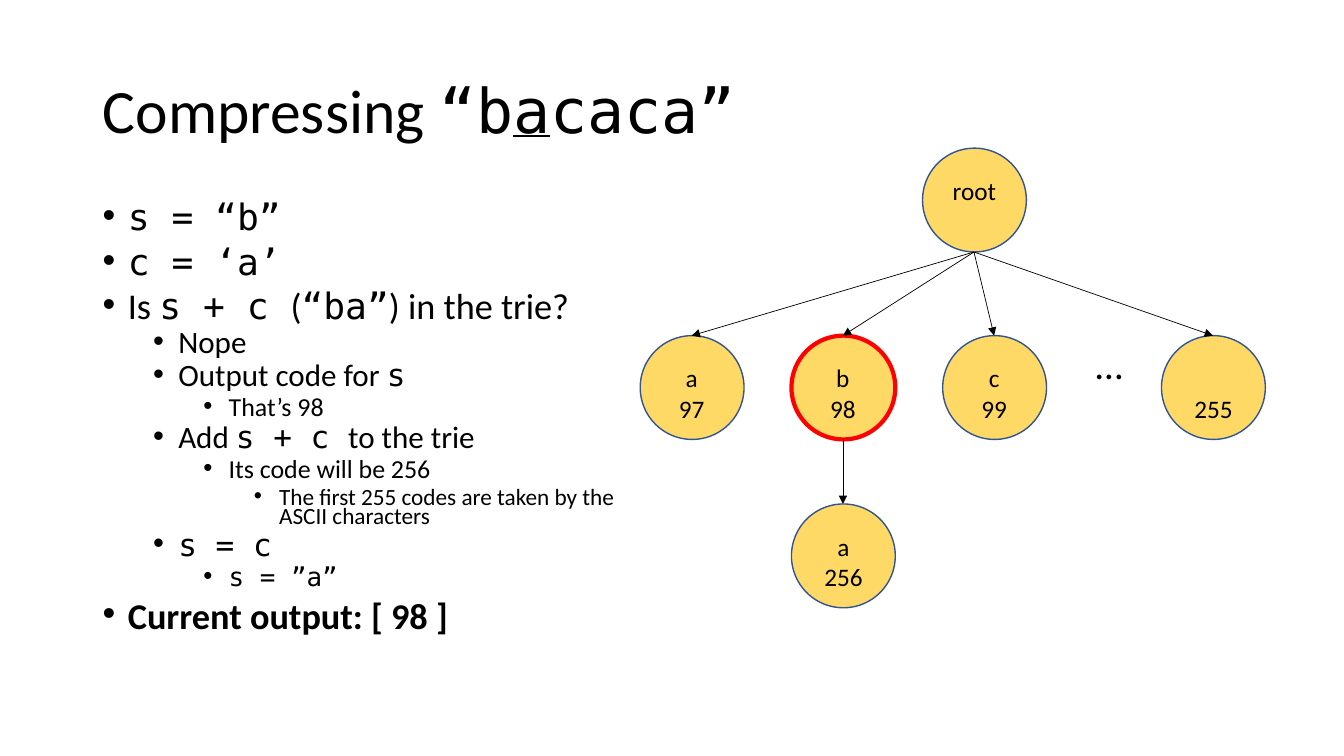
"""Build a slide that steps through trie-based compression of a short string."""
from dataclasses import dataclass

import pptx
import pptx.dml.color
import pptx.enum.shapes
import pptx.enum.text
import pptx.oxml
import pptx.oxml.ns
import pptx.util

PX = 9144
SANS = "Calibri"
MONO = "DejaVu Sans Mono"
BLACK = pptx.dml.color.RGBColor(0x00, 0x00, 0x00)
GOLD = pptx.dml.color.RGBColor(0xFF, 0xD9, 0x66)
BLUE = pptx.dml.color.RGBColor(0x32, 0x54, 0x91)
RED = pptx.dml.color.RGBColor(0xFF, 0x00, 0x00)
NODE_SIZE = 103
LABEL_OFFSET = 22
LABEL_LINE = 30
CHILD_ROW = 333
STEP_SIZES = (25.9, 22.2, 18.5, 16.6)
STEP_GAPS = (10, 5, 5, 5)


@dataclass(frozen=True)
class Span:
    text: str
    font: str = SANS
    bold: bool = False
    underline: bool = False


@dataclass(frozen=True)
class Step:
    level: int
    spans: tuple[Span, ...]


@dataclass(frozen=True)
class Node:
    left: int
    top: int
    label: str
    code: str
    current: bool = False

    @property
    def center(self) -> int:
        return self.left + NODE_SIZE // 2

    @property
    def bottom(self) -> int:
        return self.top + NODE_SIZE


TITLE = (
    Span("Compressing "),
    Span("“b", MONO),
    Span("a", MONO, underline=True),
    Span("caca”", MONO),
)
STEPS = (
    Step(0, (Span("s = “b”", MONO),)),
    Step(0, (Span("c = ‘a’", MONO),)),
    Step(0, (Span("Is "), Span("s + c ", MONO), Span("("), Span("“ba”", MONO),
             Span(") in the trie?"))),
    Step(1, (Span("Nope"),)),
    Step(1, (Span("Output code for "), Span("s", MONO))),
    Step(2, (Span("That’s 98"),)),
    Step(1, (Span("Add "), Span("s + c ", MONO), Span("to the trie"))),
    Step(2, (Span("Its code will be 256"),)),
    Step(3, (Span("The first 255 codes are taken by the ASCII characters"),)),
    Step(1, (Span("s = c", MONO),)),
    Step(2, (Span("s = ”a”", MONO),)),
    Step(0, (Span("Current output: [ 98 ]", bold=True),)),
)
ROOT = Node(915, 147, "root", "")
NODE_A = Node(635, CHILD_ROW, "a", "97")
NODE_B = Node(785, CHILD_ROW, "b", "98", current=True)
NODE_C = Node(935, CHILD_ROW, "c", "99")
NODE_LAST = Node(1152, CHILD_ROW, "", "255")
NODE_BA = Node(785, 500, "a", "256")
NODES = (ROOT, NODE_A, NODE_B, NODE_C, NODE_LAST, NODE_BA)
EDGES = (
    (ROOT, NODE_A),
    (ROOT, NODE_B),
    (ROOT, NODE_C),
    (ROOT, NODE_LAST),
    (NODE_B, NODE_BA),
)


def px(*lengths: int) -> list[int]:
    """Turn px lengths into EMU."""
    return [length * PX for length in lengths]


def add_span(paragraph, span: Span, size: float) -> None:
    """Append one formatted run to a paragraph."""
    run = paragraph.add_run()
    run.text = span.text
    run.font.name = span.font
    run.font.size = pptx.util.Pt(size)
    run.font.color.rgb = BLACK
    run.font.bold = span.bold
    run.font.underline = span.underline


def paragraph_at(frame, index: int):
    """Return the first paragraph of a frame, or add a further one."""
    return frame.add_paragraph() if index else frame.paragraphs[0]


def fill_title(title) -> None:
    """Place the title placeholder and write its runs."""
    title.left, title.top, title.width, title.height = px(92, 40, 1150, 145)
    frame = title.text_frame
    frame.auto_size = pptx.enum.text.MSO_AUTO_SIZE.NONE
    frame.vertical_anchor = pptx.enum.text.MSO_ANCHOR.MIDDLE
    heading = frame.paragraphs[0]
    heading.alignment = pptx.enum.text.PP_ALIGN.LEFT
    heading.line_spacing = 0.9
    for span in TITLE:
        add_span(heading, span, 44)


def add_bullet(paragraph, level: int) -> None:
    """Give a paragraph a round bullet and the hanging indent of its level."""
    properties = paragraph._p.get_or_add_pPr()
    properties.set("marL", str((25 + 50 * level) * PX))
    properties.set("indent", str(-25 * PX))
    font = pptx.oxml.parse_xml(
        f'<a:buFont {pptx.oxml.ns.nsdecls("a")} typeface="Arial"/>')
    mark = pptx.oxml.parse_xml(
        f'<a:buChar {pptx.oxml.ns.nsdecls("a")} char="•"/>')
    properties.extend((font, mark))


def add_steps(shapes) -> None:
    """Write the bulleted steps."""
    frame = shapes.add_textbox(*px(92, 200, 544, 476)).text_frame
    frame.word_wrap = True
    for index, step in enumerate(STEPS):
        paragraph = paragraph_at(frame, index)
        paragraph.level = step.level
        paragraph.line_spacing = 0.7
        paragraph.space_before = pptx.util.Pt(STEP_GAPS[step.level])
        add_bullet(paragraph, step.level)
        for span in step.spans:
            add_span(paragraph, span, STEP_SIZES[step.level])


def add_label(shapes, box: tuple[int, int, int, int], lines: list[str],
              size: float) -> None:
    """Write centred lines in a text box."""
    frame = shapes.add_textbox(*px(*box)).text_frame
    frame.word_wrap = False
    for index, line in enumerate(lines):
        paragraph = paragraph_at(frame, index)
        paragraph.alignment = pptx.enum.text.PP_ALIGN.CENTER
        add_span(paragraph, Span(line), size)


def add_node(shapes, node: Node) -> None:
    """Draw a trie node with its character above its code."""
    circle = shapes.add_shape(
        pptx.enum.shapes.MSO_SHAPE.OVAL,
        *px(node.left, node.top, NODE_SIZE, NODE_SIZE))
    circle.shadow.inherit = False
    circle.fill.solid()
    circle.fill.fore_color.rgb = GOLD
    circle.line.color.rgb = RED if node.current else BLUE
    circle.line.width = pptx.util.Pt(3 if node.current else 1)
    lines = [line for line in (node.label, node.code) if line]
    width = 20 + 13 * len(node.code) if node.code else NODE_SIZE
    top = node.top + LABEL_OFFSET + (0 if node.label else LABEL_LINE)
    height = 10 + LABEL_LINE * len(lines)
    add_label(shapes, (node.center - width // 2, top, width, height), lines, 18)


def add_edge(shapes, parent: Node, child: Node) -> None:
    """Draw an arrow from a parent node to its child."""
    edge = shapes.add_connector(
        pptx.enum.shapes.MSO_CONNECTOR.STRAIGHT,
        *px(parent.center, parent.bottom, child.center, child.top))
    edge.line.color.rgb = BLACK
    edge.line.width = pptx.util.Pt(0.5)
    namespace = pptx.oxml.ns.nsdecls("a")
    edge.line._get_or_add_ln().append(
        pptx.oxml.parse_xml(f'<a:tailEnd {namespace} type="triangle"/>'))
    edge._element.spPr.append(pptx.oxml.parse_xml(f"<a:effectLst {namespace}/>"))


def main() -> None:
    """Build and save the slide."""
    deck = pptx.Presentation()
    deck.slide_width, deck.slide_height = px(1333, 750)
    slide = deck.slides.add_slide(deck.slide_layouts[5])
    fill_title(slide.shapes.title)
    add_steps(slide.shapes)
    for node in NODES:
        add_node(slide.shapes, node)
    for parent, child in EDGES:
        add_edge(slide.shapes, parent, child)
    add_label(slide.shapes, (1035, 333, 130, 85), ["…"], 28)
    deck.save("out.pptx")


if __name__ == "__main__":
    main()
